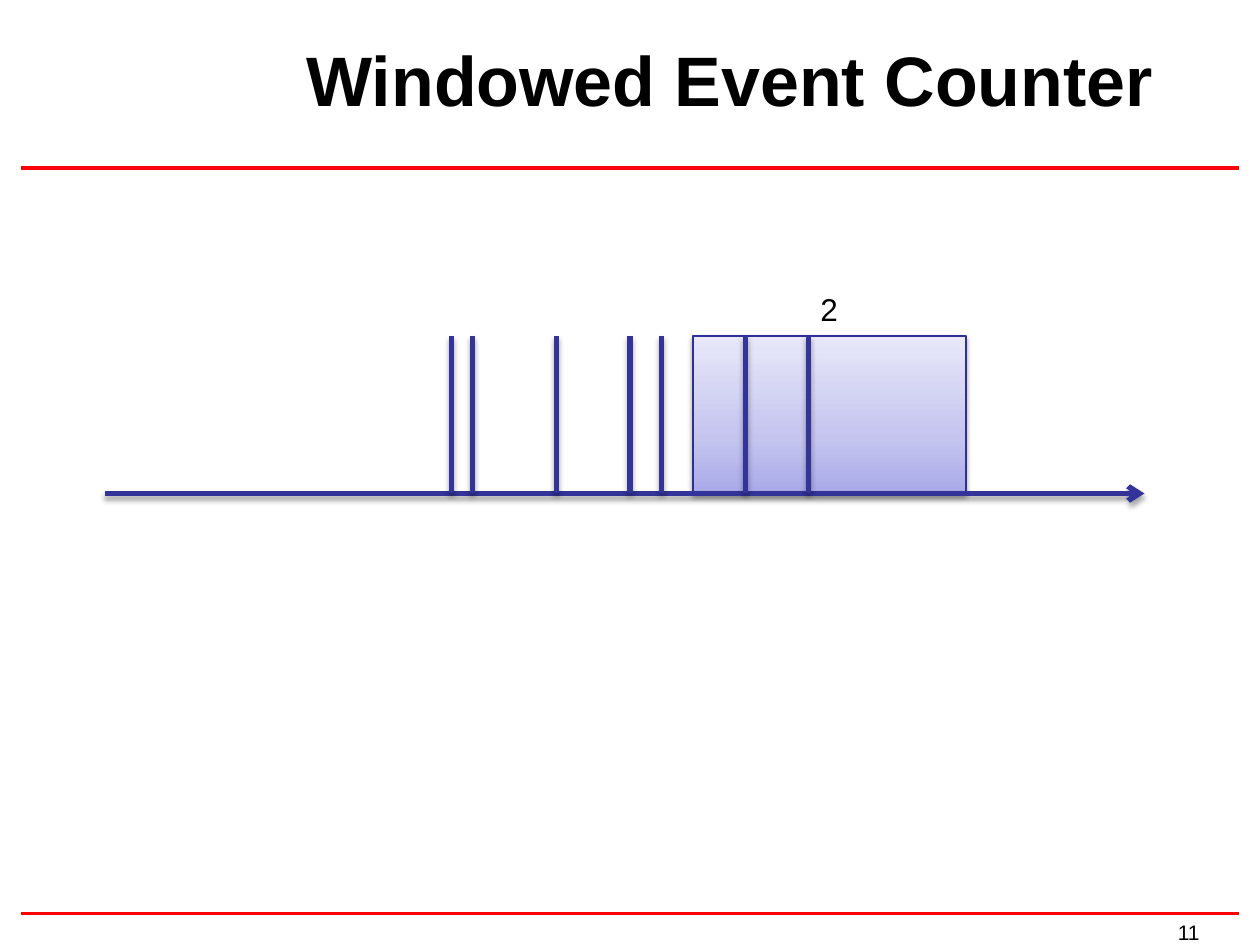
import copy

import pptx
import pptx.dml.color
import pptx.enum.shapes
import pptx.enum.text
import pptx.oxml
import pptx.oxml.ns
import pptx.util

Pt = pptx.util.Pt
ALIGN = pptx.enum.text.PP_ALIGN
ANCHOR = pptx.enum.text.MSO_ANCHOR
COLORS = {
    "text": "000000",
    "rule": "FF0000",
    "event": "333399",
    "edge": "2F2F98",
    "low": "A9A9E9",
    "middle": "C4C4EF",
    "high": "E8E8FA",
}


def color(name):
    return pptx.dml.color.RGBColor.from_string(COLORS[name])


class Painter:
    """Draws styled elements on the current page."""

    font = "Arial"

    def __init__(self, page):
        self.page = page

    def add_effects(self, shape, shadow):
        namespace = pptx.oxml.ns.nsdecls("a")
        content = ""
        if shadow:
            alpha, distance = shadow
            content = (
                f'<a:outerShdw blurRad="{Pt(3.1)}" dist="{Pt(distance)}" dir="5400000" rotWithShape="0">'
                f'<a:srgbClr val="{COLORS["text"]}"><a:alpha val="{alpha * 1000}"/></a:srgbClr></a:outerShdw>'
            )
        xml = f"<a:effectLst {namespace}>{content}</a:effectLst>"
        shape._element.spPr.append(pptx.oxml.parse_xml(xml))

    def line(self, start, end, name, width, shadow=None, arrow=False):
        kind = pptx.enum.shapes.MSO_CONNECTOR.STRAIGHT
        connector = self.page.shapes.add_connector(kind, *map(Pt, start + end))
        connector.line.color.rgb = color(name)
        connector.line.width = Pt(width)
        if arrow:
            namespace = pptx.oxml.ns.nsdecls("a")
            tail = pptx.oxml.parse_xml(f'<a:tailEnd {namespace} type="arrow"/>')
            connector.line._get_or_add_ln().append(tail)
        self.add_effects(connector, shadow)

    def window(self, frame, stops, shadow):
        kind = pptx.enum.shapes.MSO_SHAPE.RECTANGLE
        box = self.page.shapes.add_shape(kind, *map(Pt, frame))
        box.fill.gradient()
        box.fill.gradient_angle = 90
        stop_list = box._element.spPr.find(".//" + pptx.oxml.ns.qn("a:gsLst"))
        stop_list.append(copy.deepcopy(stop_list[-1]))
        for stop, (position, name) in zip(box.fill.gradient_stops, stops):
            stop.position = position
            stop.color.rgb = color(name)
        box.line.color.rgb = color("edge")
        box.line.width = Pt(0.75)
        self.add_effects(box, shadow)

    def text(self, frame, words, size, bold=False, frame_format=None, para_format=None):
        box = self.page.shapes.add_textbox(*map(Pt, frame))
        para = box.text_frame.paragraphs[0]
        span = para.add_run()
        span.text = words
        span.font.color.rgb = color("text")
        font_format = {"name": self.font, "size": Pt(size), "bold": bold}
        targets = (
            (box.text_frame, {"word_wrap": True, **(frame_format or {})}),
            (para, para_format or {}),
            (span.font, font_format),
        )
        for target, values in targets:
            for key, value in values.items():
                setattr(target, key, value)


def main():
    deck = pptx.Presentation()
    deck.slide_width, deck.slide_height = Pt(720), Pt(540)
    painter = Painter(deck.slides.add_slide(deck.slide_layouts[6]))

    for height in (96, 522):
        painter.line((12, height), (708, height), "rule", 2)
    painter.text((666, 522, 66, 21.6), "11", 12)

    top, base = 192, 282
    stops = ((0, "low"), (0.35, "middle"), (1, "high"))
    painter.window((396, top, 156, base - top), stops, (38, 1.6))
    painter.text(
        (150, 16, 534, 68), "Windowed Event Counter", 40, True,
        {"vertical_anchor": ANCHOR.MIDDLE},
        {"alignment": ALIGN.CENTER, "line_spacing": 0.75},
    )

    event_shadow = (35, 1.8)
    painter.line((60, base), (654, base), "event", 3, event_shadow, arrow=True)
    for moment in (258, 270, 318, 360, 378, 426, 462):
        painter.line((moment, top), (moment, base), "event", 3, event_shadow)
    painter.text(
        (461.5, 162, 24.5, 29), "2", 18,
        frame_format={"word_wrap": False},
        para_format={"alignment": ALIGN.CENTER},
    )

    deck.save("out.pptx")


if __name__ == "__main__":
    main()
